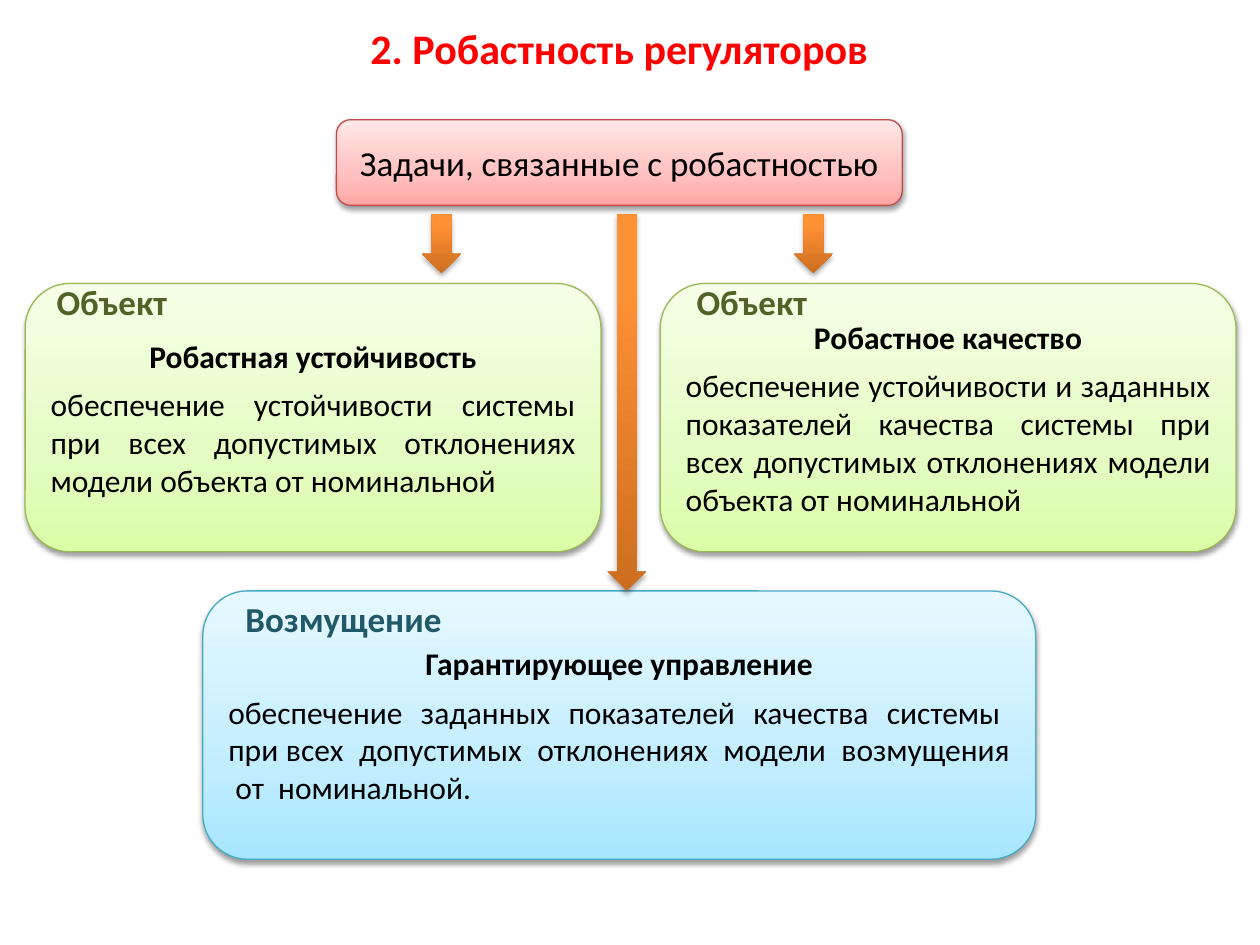
from lxml.etree import SubElement
from pptx import Presentation
from pptx.dml.color import RGBColor
from pptx.enum.shapes import MSO_SHAPE as Geo
from pptx.enum.text import MSO_ANCHOR as Anchor, MSO_AUTO_SIZE as Fit, PP_ALIGN as Align
from pptx.oxml.ns import qn
from pptx.util import Inches, Pt

HEX = {
    "title": "FF0000", "text": "000000", "shadow": "000000",
    "object": "4F6228", "noise": "215968",
}
GRADS = {
    "red": [(0, "FFA6A5"), (35, "FFC0BF"), (100, "FFE7E7")],
    "green": [(0, "DAFDA7"), (35, "E4FCC2"), (100, "F5FFE7")],
    "blue": [(0, "A7E6FF"), (35, "C1EDFF"), (100, "E7F8FF")],
    "orange": [(0, "CC6E20"), (80, "FF9034"), (100, "FF9136")],
}
LINES = {"red": "BF4C48", "green": "98B955", "blue": "46AAC5"}

TITLE = "2. Робастность регуляторов"
ROOT = "Задачи, связанные с робастностью"
TASKS = [
    ("green", (0.2, 2.25, 4.57, 2.13), "Робастная устойчивость",
     "обеспечение устойчивости системы при всех допустимых отклонениях "
     "модели объекта от номинальной"),
    ("green", (5.24, 2.25, 4.57, 2.13), "Робастное качество",
     "обеспечение устойчивости и заданных показателей качества системы "
     "при всех допустимых отклонениях модели объекта от номинальной"),
    ("blue", (1.61, 4.69, 6.61, 2.13), "Гарантирующее управление",
     "обеспечение  заданных  показателей  качества  системы  при всех  "
     "допустимых  отклонениях  модели  возмущения  от  номинальной."),
]
LABELS = [
    ("Объект", "object", (0.35, 2.18, 1.18, 0.44)),
    ("Объект", "object", (5.43, 2.18, 1.18, 0.44)),
    ("Возмущение", "noise", (1.85, 4.69, 2.13, 0.44)),
]
ARROWS = [(3.35, 0.47), (6.3, 0.47), (4.82, 2.99)]


def place(box):
    return [Inches(n) for n in box]


def style(par, size, color, bold=False, align=Align.LEFT):
    par.alignment = align
    for run in par.runs:
        font = run.font
        font.name, font.size, font.bold = "Calibri", Pt(size), bold
        font.color.rgb = RGBColor.from_string(HEX[color])


def add_block(slide, geo, box, tone, alpha):
    """Add a shape with a vertical gradient, an optional outline and a soft shadow."""
    shape = slide.shapes.add_shape(geo, *place(box))
    shape.fill.gradient()
    shape.fill.gradient_angle = 90
    props = shape._element.spPr
    stops = props.find(qn("a:gradFill")).find(qn("a:gsLst"))
    for old in list(stops):
        stops.remove(old)
    for pos, color in GRADS[tone]:
        stop = SubElement(stops, qn("a:gs"), pos=str(pos * 1000))
        SubElement(stop, qn("a:srgbClr"), val=color)
    if tone in LINES:
        shape.line.color.rgb = RGBColor.from_string(LINES[tone])
        shape.line.width = Pt(0.75)
    else:
        shape.line.fill.background()
    shape.shadow.inherit = False
    glow = SubElement(props.find(qn("a:effectLst")), qn("a:outerShdw"),
                      blurRad=str(Pt(3.1)), dist=str(Pt(1.7)),
                      dir="5400000", rotWithShape="0")
    color = SubElement(glow, qn("a:srgbClr"), val=HEX["shadow"])
    SubElement(color, qn("a:alpha"), val=str(alpha * 1000))
    shape.text_frame.vertical_anchor = Anchor.MIDDLE
    return shape


def main():
    deck = Presentation()
    deck.slide_width, deck.slide_height = Inches(10), Inches(7.5)
    slide = deck.slides.add_slide(deck.slide_layouts[5])

    title = slide.shapes.title
    title.left, title.top, title.width, title.height = place((2.82, 0.21, 4.19, 0.42))
    frame = title.text_frame
    frame.text = TITLE
    frame.word_wrap = False
    frame.auto_size = Fit.SHAPE_TO_FIT_TEXT
    frame.vertical_anchor = Anchor.TOP
    frame.paragraphs[0].line_spacing = 0.8
    style(frame.paragraphs[0], 24, "title", True, Align.CENTER)

    root = add_block(slide, Geo.ROUNDED_RECTANGLE, (2.67, 0.95, 4.49, 0.68), "red", 38)
    root.text_frame.text = ROOT
    style(root.text_frame.paragraphs[0], 20, "text", align=Align.CENTER)

    for tone, box, name, goal in TASKS:
        frame = add_block(slide, Geo.ROUNDED_RECTANGLE, box, tone, 38).text_frame
        frame.text = f"{name}\n{goal}"
        head, body = frame.paragraphs
        head.space_after = Pt(6)
        style(head, 18, "text", True, Align.CENTER)
        style(body, 18, "text", align=Align.JUSTIFY)

    for text, color, box in LABELS:
        frame = slide.shapes.add_textbox(*place(box)).text_frame
        frame.text = text
        frame.word_wrap = True
        frame.auto_size = Fit.SHAPE_TO_FIT_TEXT
        style(frame.paragraphs[0], 20, color, True)

    for left, height in ARROWS:
        add_block(slide, Geo.DOWN_ARROW, (left, 1.7, 0.31, height), "orange", 35)

    deck.save("out.pptx")


if __name__ == "__main__":
    main()
